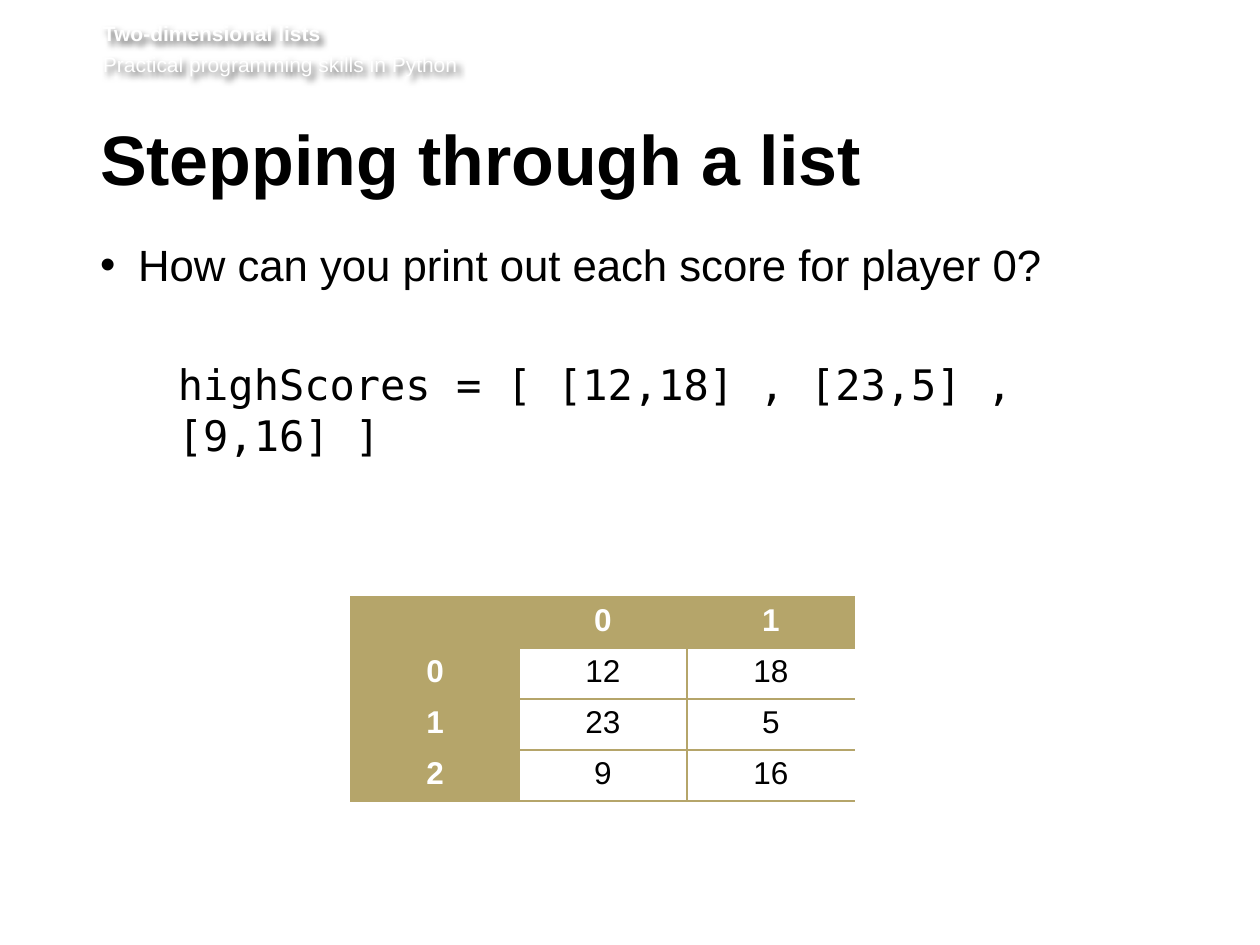
from lxml.etree import SubElement
from pptx import Presentation
from pptx.dml.color import RGBColor
from pptx.enum.text import MSO_ANCHOR, MSO_AUTO_SIZE, PP_ALIGN
from pptx.oxml import parse_xml
from pptx.oxml.ns import nsdecls, qn
from pptx.util import Pt

EMU_PER_PX = 914400 / 126
COLORS = {"text": "000000", "light": "FFFFFF", "gold": "B5A56A"}
SANS, MONO = "Arial", "DejaVu Sans Mono"


def px(n):
    return round(n * EMU_PER_PX)


class SlideBuilder:
    def __init__(self, prs):
        self.slide = prs.slides.add_slide(prs.slide_layouts[5])

    def color(self, name):
        return RGBColor.from_string(COLORS[name])

    def style(self, p, size, color="text", bold=False, font=SANS):
        for r in p.runs:
            r.font.name = font
            r.font.size = Pt(size)
            r.font.bold = bold
            r.font.color.rgb = self.color(color)

    def frame(self, tf, insets):
        """Wrap the text at the top of its box; insets run left, top, right, bottom."""
        tf.word_wrap = True
        tf.auto_size = MSO_AUTO_SIZE.NONE
        tf.vertical_anchor = MSO_ANCHOR.TOP
        tf.margin_left, tf.margin_top, tf.margin_right, tf.margin_bottom = map(px, insets)

    def title(self, text, x, y, w, h):
        s = self.slide.shapes.title
        s.left, s.top, s.width, s.height = map(px, (x, y, w, h))
        s.text_frame.text = text
        self.frame(s.text_frame, (0, 6, 13, 6))
        p = s.text_frame.paragraphs[0]
        p.alignment = PP_ALIGN.LEFT
        p.line_spacing = Pt(39)
        self.style(p, 40, bold=True)

    def text(self, text, x, y, w, h, size, insets, **style):
        s = self.slide.shapes.add_textbox(*map(px, (x, y, w, h)))
        s.text_frame.text = text
        self.frame(s.text_frame, insets)
        for p in s.text_frame.paragraphs:
            self.style(p, size, **style)
        return s

    def running_head(self, lines, x, y, w, h):
        """Light text with a soft shadow, the first line bold."""
        s = self.text("\n".join(lines), x, y, w, h, 12, (0, 0, 0, 6), color="light")
        for p in s.text_frame.paragraphs:
            p.space_before = Pt(2.9)
        s.text_frame.paragraphs[0].runs[0].font.bold = True
        s._element.spPr.append(parse_xml(
            f'<a:effectLst {nsdecls("a")}><a:outerShdw blurRad="{px(7)}" dist="{px(5)}" '
            'dir="2700000" algn="tl" rotWithShape="0"><a:srgbClr val="000000">'
            '<a:alpha val="60000"/></a:srgbClr></a:outerShdw></a:effectLst>'))

    def bullet(self, text, x, y, w, h):
        s = self.text(text, x, y, w, h, 25, (0, 0, 13, 6))
        p = s.text_frame.paragraphs[0]
        p.space_after = Pt(14)
        pPr = p._p.get_or_add_pPr()
        pPr.set("marL", str(px(38)))
        pPr.set("indent", str(-px(38)))
        SubElement(pPr, qn("a:buFont"), typeface=SANS)
        SubElement(pPr, qn("a:buChar"), char="•")

    def borders(self, cell, hidden):
        """Draw thin gold lines on every side but the hidden ones."""
        tcPr = cell._tc.get_or_add_tcPr()
        for side in "LRTB":
            ln = SubElement(tcPr, qn(f"a:ln{side}"), w=str(Pt(1)))
            if side in hidden:
                SubElement(ln, qn("a:noFill"))
            else:
                fill = SubElement(ln, qn("a:solidFill"))
                SubElement(fill, qn("a:srgbClr"), val=COLORS["gold"])

    def table(self, rows, x, y, col_w, row_h):
        n_rows, n_cols = len(rows), len(rows[0])
        table = self.slide.shapes.add_table(
            n_rows, n_cols, *map(px, (x, y, n_cols * col_w, n_rows * row_h))).table
        for col in table.columns:
            col.width = px(col_w)
        for i, row in enumerate(rows):
            table.rows[i].height = px(row_h)
            for j, value in enumerate(row):
                cell = table.cell(i, j)
                header = i == 0 or j == 0
                self.borders(cell, hidden="R" if j == n_cols - 1 else "")
                if header:
                    cell.fill.solid()
                    cell.fill.fore_color.rgb = self.color("gold")
                else:
                    cell.fill.background()
                cell.text_frame.text = value
                p = cell.text_frame.paragraphs[0]
                p.alignment = PP_ALIGN.CENTER
                self.style(p, 18, "light" if header else "text", bold=header)


def main():
    prs = Presentation()
    prs.slide_width, prs.slide_height = px(1260), px(945)
    b = SlideBuilder(prs)
    b.running_head(["Two-dimensional lists", "Practical programming skills in Python"],
                   103, 21, 1111, 62)
    b.title("Stepping through a list", 100, 125, 1077, 92)
    b.bullet("How can you print out each score for player 0?", 100, 238, 1075, 476)
    b.text("highScores = [ [12,18] , [23,5] , [9,16] ]", 165, 353, 1009, 115, 24,
           (13, 6, 13, 6), font=MONO)
    b.table([["", "0", "1"],
             ["0", "12", "18"],
             ["1", "23", "5"],
             ["2", "9", "16"]], 351, 597, 168, 51)
    prs.save("out.pptx")


if __name__ == "__main__":
    main()
